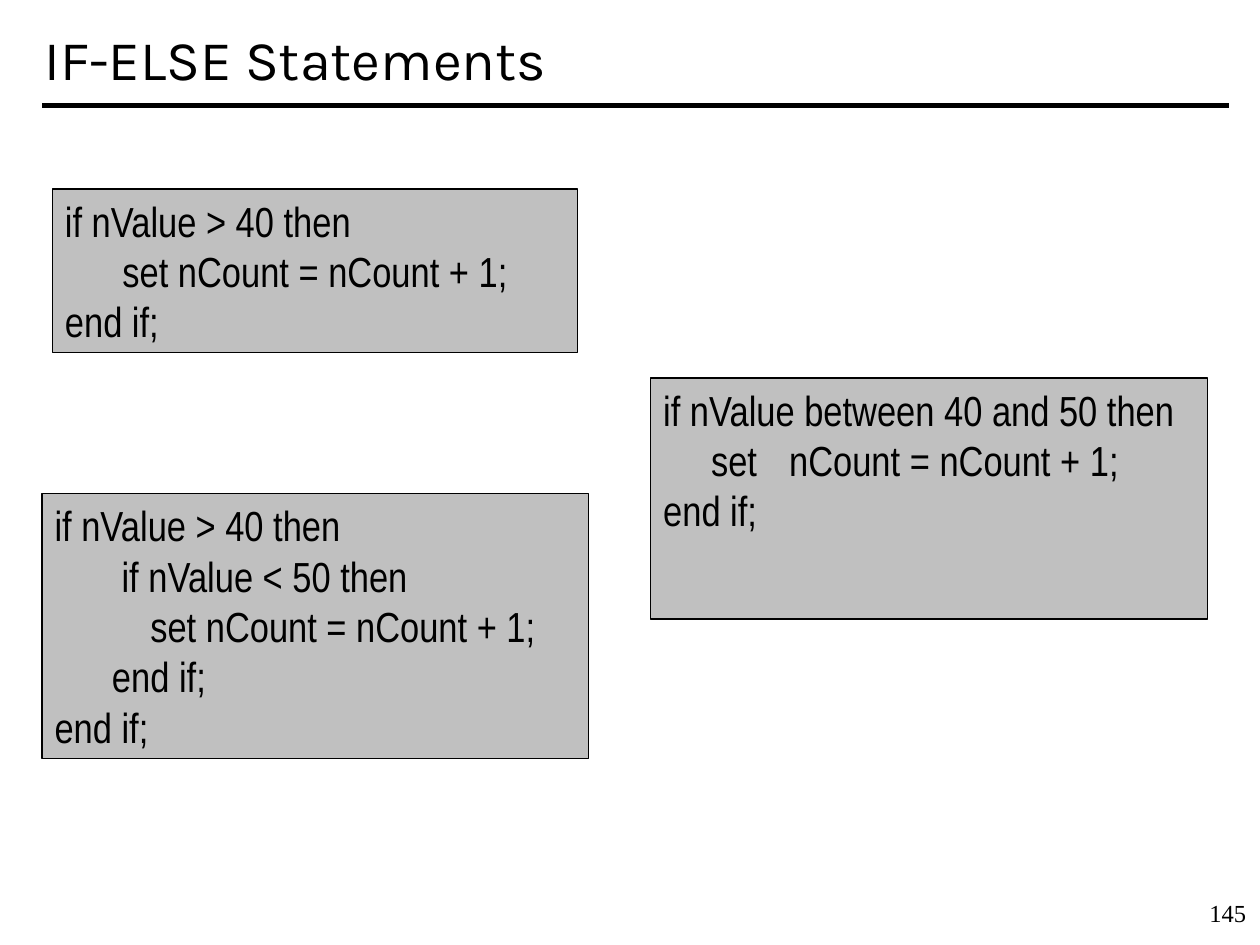
from dataclasses import dataclass

from lxml.etree import SubElement
from pptx import Presentation
from pptx.dml.color import RGBColor
from pptx.enum.shapes import MSO_CONNECTOR, MSO_SHAPE
from pptx.enum.text import MSO_ANCHOR, MSO_AUTO_SIZE, PP_ALIGN
from pptx.oxml.ns import qn
from pptx.util import Cm, Pt


@dataclass(frozen=True)
class Theme:
    ink: RGBColor = RGBColor(0x00, 0x00, 0x00)
    panel: RGBColor = RGBColor(0xC0, 0xC0, 0xC0)
    title_font: str = "Karla"
    code_font: str = "Arial Narrow"
    number_font: str = "Times New Roman"
    title_size: Pt = Pt(32)
    code_size: Pt = Pt(24)
    number_size: Pt = Pt(14)
    rule_width: Pt = Pt(3)
    border_width: Pt = Pt(0.75)


THEME = Theme()
TAB_STOP = Cm(2.54)

# Left, top, width and height in centimetres, then the code
CODE_BOXES = [
    ((1.06, 3.81, 10.58, 3.3), [
        "if nValue > 40 then",
        "      set nCount = nCount + 1;",
        "end if;",
    ]),
    ((0.85, 9.95, 11.01, 5.34), [
        "if nValue > 40 then",
        "       if nValue < 50 then",
        "          set nCount = nCount + 1;",
        "      end if;",
        "end if;",
    ]),
    ((13.12, 7.62, 11.22, 4.86), [
        "if nValue between 40 and 50 then",
        "     set  \tnCount = nCount + 1;",
        "end if;",
    ]),
]


def format_text(frame, font, size):
    for para in frame.paragraphs:
        para.alignment = PP_ALIGN.LEFT
        for span in para.runs:
            span.font.name = font
            span.font.size = size
            span.font.color.rgb = THEME.ink


def add_title(page, text):
    title = page.shapes.title
    title.left, title.top = Cm(0.64), Cm(0)
    title.width, title.height = Cm(24.13), Cm(2.33)
    frame = title.text_frame
    frame.text = text
    frame.auto_size = MSO_AUTO_SIZE.NONE
    frame.vertical_anchor = MSO_ANCHOR.MIDDLE
    format_text(frame, THEME.title_font, THEME.title_size)


def add_rule(page):
    rule = page.shapes.add_connector(
        MSO_CONNECTOR.STRAIGHT, Cm(0.85), Cm(2.12), Cm(24.77), Cm(2.12))
    rule.line.color.rgb = THEME.ink
    rule.line.width = THEME.rule_width
    SubElement(rule.element.spPr, qn("a:effectLst"))


def add_page_number(page, number):
    box = page.shapes.add_textbox(Cm(24.13), Cm(17.98), Cm(1.27), Cm(0.86))
    box.text_frame.word_wrap = True
    box.text_frame.text = number
    format_text(box.text_frame, THEME.number_font, THEME.number_size)


def add_tab_stop(para):
    stops = SubElement(para._p.get_or_add_pPr(), qn("a:tabLst"))
    SubElement(stops, qn("a:tab"), pos=str(TAB_STOP), algn="l")


def add_code_box(page, place, lines):
    box = page.shapes.add_shape(MSO_SHAPE.RECTANGLE, *map(Cm, place))
    box.shadow.inherit = False
    box.fill.solid()
    box.fill.fore_color.rgb = THEME.panel
    box.line.color.rgb = THEME.ink
    box.line.width = THEME.border_width
    frame = box.text_frame
    frame.word_wrap = True
    frame.vertical_anchor = MSO_ANCHOR.TOP
    frame.text = "\n".join(lines)
    for para in frame.paragraphs:
        add_tab_stop(para)
    format_text(frame, THEME.code_font, THEME.code_size)


def main():
    deck = Presentation()
    deck.slide_width, deck.slide_height = Cm(25.4), Cm(19.05)
    page = deck.slides.add_slide(deck.slide_layouts[5])

    # Heading and page furniture
    add_title(page, "IF-ELSE Statements")
    add_rule(page)
    add_page_number(page, "145")

    # Code examples
    for place, lines in CODE_BOXES:
        add_code_box(page, place, lines)

    deck.save("out.pptx")


if __name__ == "__main__":
    main()
